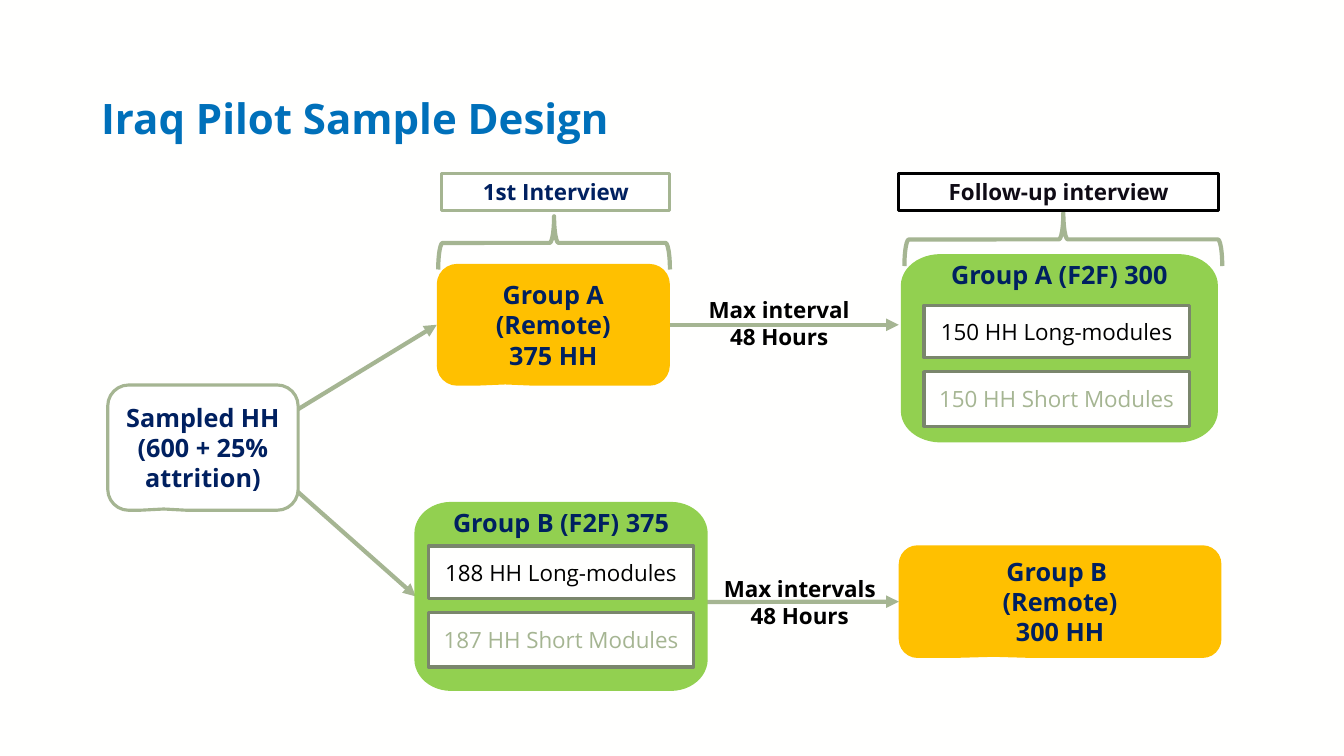
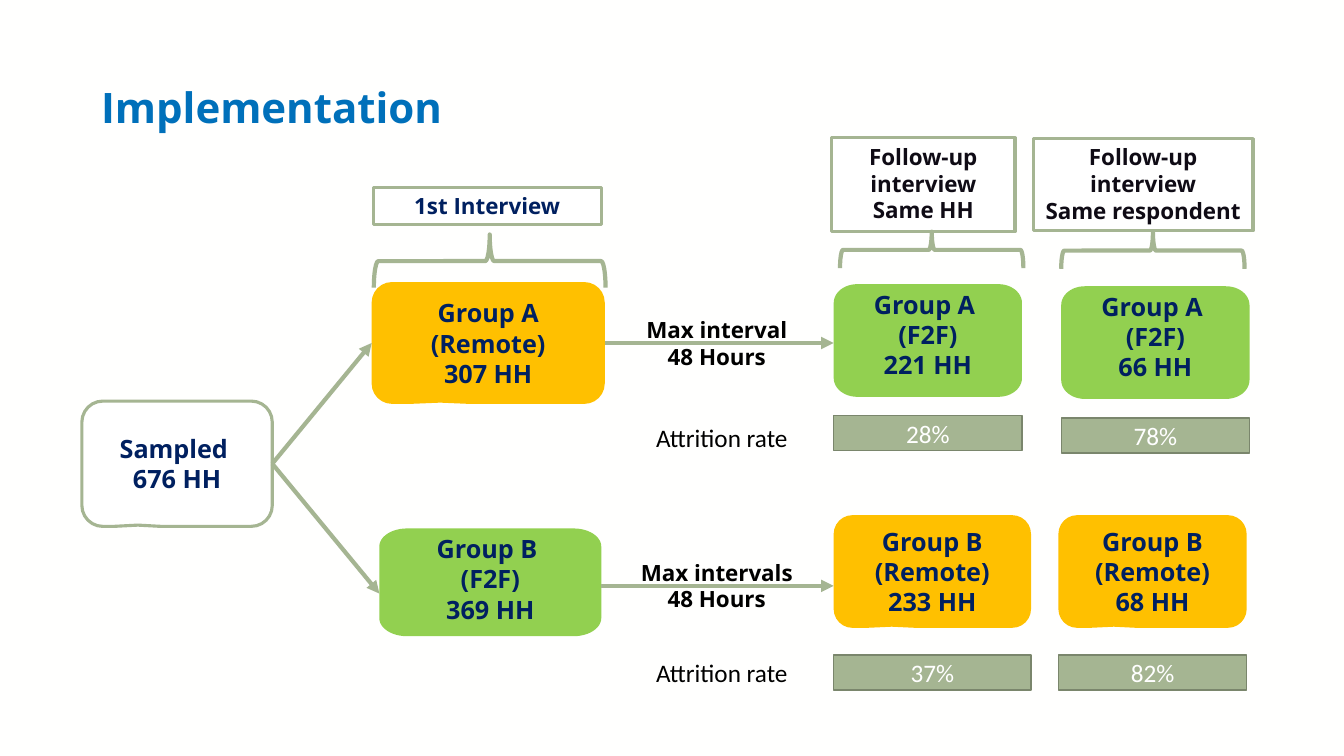
"""Build two slides that show the sample design and implementation of a survey pilot."""
import dataclasses
import enum
import math
import typing

import pptx
import pptx.dml.color
import pptx.enum.shapes
import pptx.enum.text
import pptx.oxml.xmlchemy
import pptx.presentation
import pptx.shapes.base
import pptx.slide
import pptx.util

Pt = pptx.util.Pt
Preset = pptx.enum.shapes.MSO_SHAPE
Anchor = pptx.enum.text.MSO_ANCHOR
Align = pptx.enum.text.PP_ALIGN
AutoSize = pptx.enum.text.MSO_AUTO_SIZE
Slide = pptx.slide.Slide
Shape = pptx.shapes.base.BaseShape


@dataclasses.dataclass(frozen=True)
class Theme:
    background: str = "FFFFFE"
    white: str = "FFFFFF"
    black: str = "000000"
    ink: str = "0F0B15"
    navy: str = "002060"
    title: str = "0070BA"
    sage: str = "A5B592"
    sage_dark: str = "7A866C"
    remote: str = "FFC000"
    face_to_face: str = "92D050"
    font: str = "Open Sans"
    rate_font: str = "Calibri"
    title_size: float = 30
    group_size: float = 18
    label_size: float = 16
    line: float = 3
    border: float = 2.25
    thin: float = 1


THEME = Theme()


class Form(enum.Enum):
    CALLOUT = enum.auto()
    RECTANGLE = enum.auto()
    ROUNDED = enum.auto()
    TEXT = enum.auto()


class Side(enum.IntEnum):
    LEFT = 1
    RIGHT = 3


@dataclasses.dataclass(frozen=True)
class Style:
    form: Form
    fill: typing.Optional[str] = None
    border: typing.Optional[str] = None
    border_width: float = THEME.border
    color: str = THEME.navy
    size: float = THEME.group_size
    font: str = THEME.font
    bold: bool = True
    top: bool = False
    grow: bool = False
    align: Align = Align.CENTER


REMOTE = Style(Form.CALLOUT, THEME.remote)
FACE_TO_FACE = Style(Form.ROUNDED, THEME.face_to_face, top=True)
SAMPLE = Style(Form.CALLOUT, THEME.white, THEME.sage)
FIRST = Style(Form.RECTANGLE, THEME.white, THEME.sage, size=THEME.label_size, top=True, grow=True)
FOLLOW_UP = dataclasses.replace(FIRST, color=THEME.ink)
FOLLOW_UP_BLACK = dataclasses.replace(FOLLOW_UP, border=THEME.black)
LONG = Style(Form.RECTANGLE, THEME.background, THEME.sage_dark, color=THEME.black,
             size=THEME.label_size, bold=False)
SHORT = dataclasses.replace(LONG, color=THEME.sage)
INTERVAL = Style(Form.TEXT, color=THEME.black, size=THEME.label_size, top=True, grow=True)
RATE_LABEL = Style(Form.TEXT, color=THEME.black, font=THEME.rate_font, bold=False,
                   top=True, grow=True, align=Align.LEFT)
RATE = Style(Form.RECTANGLE, THEME.sage, THEME.sage_dark, THEME.thin, THEME.white,
             font=THEME.rate_font, bold=False)


class Frame(typing.NamedTuple):
    left: float
    top: float
    width: float
    height: float


class Box(typing.NamedTuple):
    style: Style
    frame: Frame
    lines: typing.Tuple[str, ...]


class Point(typing.NamedTuple):
    x: float
    y: float


class Joint(typing.NamedTuple):
    shape: Shape
    side: Side


class FollowUpCell(typing.NamedTuple):
    box: Box
    rate: str
    rate_offset: float


End = typing.Union[Point, Joint]


def rgb(color: str) -> pptx.dml.color.RGBColor:
    return pptx.dml.color.RGBColor.from_string(color)


def lengths(values: typing.Iterable[float]) -> typing.List[pptx.util.Length]:
    return [Pt(value) for value in values]


def rounded_outline(slide: Slide, frame: Frame) -> Shape:
    left, top, width, height = frame
    radius_x, radius_y = width * 0.125, height * 0.167
    right, bottom = left + width - radius_x, top + height - radius_y
    centers = ((right, bottom), (left + radius_x, bottom),
               (left + radius_x, top + radius_y), (right, top + radius_y))
    points = []
    for quarter, (center_x, center_y) in enumerate(centers):
        for step in range(13):
            angle = math.radians(90 * quarter + 7.5 * step)
            points.append((Pt(center_x + radius_x * math.cos(angle)),
                           Pt(center_y + radius_y * math.sin(angle))))
    builder = slide.shapes.build_freeform(*points[0])
    builder.add_line_segments(points[1:], close=True)
    return builder.convert_to_shape()


def create_shape(slide: Slide, form: Form, frame: Frame) -> Shape:
    if form is Form.TEXT:
        return slide.shapes.add_textbox(*lengths(frame))
    if form is Form.ROUNDED:
        return rounded_outline(slide, frame)
    if form is Form.RECTANGLE:
        return slide.shapes.add_shape(Preset.RECTANGLE, *lengths(frame))
    shape = slide.shapes.add_shape(Preset.ROUNDED_RECTANGULAR_CALLOUT, *lengths(frame))
    for index, value in enumerate((-0.206, 0.49, 0.167)):
        shape.adjustments[index] = value
    return shape


def write_lines(shape: Shape, style: Style, lines: typing.Sequence[str]) -> None:
    text_frame = shape.text_frame
    text_frame.word_wrap = True
    text_frame.auto_size = AutoSize.SHAPE_TO_FIT_TEXT if style.grow else AutoSize.NONE
    text_frame.vertical_anchor = Anchor.TOP if style.top else Anchor.MIDDLE
    for index, line in enumerate(lines):
        paragraph = text_frame.add_paragraph() if index else text_frame.paragraphs[0]
        paragraph.alignment = style.align
        run = paragraph.add_run()
        run.text = line
        run.font.name = style.font
        run.font.size = Pt(style.size)
        run.font.bold = style.bold
        run.font.color.rgb = rgb(style.color)


def draw_box(slide: Slide, box: Box) -> Shape:
    style = box.style
    shape = create_shape(slide, style.form, box.frame)
    if style.form is not Form.TEXT:
        shape.shadow.inherit = False
        shape.fill.solid()
        shape.fill.fore_color.rgb = rgb(style.fill)
        if style.border:
            shape.line.color.rgb = rgb(style.border)
            shape.line.width = Pt(style.border_width)
        else:
            shape.line.fill.background()
    write_lines(shape, style, box.lines)
    return shape


def draw_brace(slide: Slide, frame: Frame) -> None:
    left, top, width, height = frame
    shift = (width - height) / 2
    upright = Frame(left + shift, top - shift, height, width)
    brace = slide.shapes.add_shape(Preset.LEFT_BRACE, *lengths(upright))
    brace.rotation = 90
    brace.shadow.inherit = False
    brace.fill.background()
    brace.line.color.rgb = rgb(THEME.sage)
    brace.line.width = Pt(THEME.line)


def draw_arrow(slide: Slide, start: End, end: End) -> None:
    start_point = start if isinstance(start, Point) else Point(0, 0)
    end_point = end if isinstance(end, Point) else Point(0, 0)
    connector = slide.shapes.add_connector(
        pptx.enum.shapes.MSO_CONNECTOR.STRAIGHT, *lengths((*start_point, *end_point)))
    if isinstance(start, Joint):
        connector.begin_connect(start.shape, start.side.value)
    if isinstance(end, Joint):
        connector.end_connect(end.shape, end.side.value)
    connector.line.color.rgb = rgb(THEME.sage)
    connector.line.width = Pt(THEME.line)
    properties = connector._element.spPr
    head = pptx.oxml.xmlchemy.OxmlElement("a:tailEnd")
    head.set("type", "triangle")
    properties.get_or_add_ln().append(head)
    properties.append(pptx.oxml.xmlchemy.OxmlElement("a:effectLst"))


def add_titled_slide(presentation: pptx.presentation.Presentation, text: str, top: float) -> Slide:
    slide = presentation.slides.add_slide(presentation.slide_layouts[5])
    title = slide.shapes.title
    title.left, title.top, title.width, title.height = lengths(Frame(65, top, 830, 90.5))
    style = Style(Form.TEXT, color=THEME.title, size=THEME.title_size, align=Align.LEFT)
    write_lines(title, style, (text,))
    title.text_frame.paragraphs[0].line_spacing = 0.9
    return slide


def draw_modules(slide: Slide, left: float, top: float, long_count: int, short_count: int) -> None:
    draw_box(slide, Box(LONG, Frame(left, top, 189.5, 37.5), (f"{long_count} HH Long-modules",)))
    draw_box(slide, Box(SHORT, Frame(left, top + 47.5, 189.5, 39), (f"{short_count} HH Short Modules",)))


def build_design(presentation: pptx.presentation.Presentation) -> None:
    slide = add_titled_slide(presentation, "Iraq Pilot Sample Design", 41)
    group_a = draw_box(slide, Box(REMOTE, Frame(312, 188.5, 166.5, 87), ("Group A (Remote)", "375 HH")))
    follow_up_b = draw_box(slide, Box(REMOTE, Frame(642, 389.5, 230.5, 80.5),
                                      ("Group B ", "(Remote)", "300 HH")))
    draw_arrow(slide, Point(178.5, 321), Point(297, 426))
    draw_arrow(slide, Point(176.5, 314.5), Joint(group_a, Side.LEFT))
    draw_arrow(slide, Joint(group_a, Side.RIGHT), Point(642, 232))
    draw_arrow(slide, Point(505, 430), Joint(follow_up_b, Side.LEFT))
    draw_brace(slide, Frame(313, 154.5, 165.5, 38))
    draw_brace(slide, Frame(646, 152, 227, 38))
    for box in (
        Box(FOLLOW_UP_BLACK, Frame(642, 124, 228.5, 26.5), ("Follow-up interview",)),
        Box(FIRST, Frame(315.5, 124, 163, 26.5), ("1st Interview",)),
        Box(FACE_TO_FACE, Frame(643.5, 181.5, 226.5, 134.5), ("Group A (F2F) 300",)),
        Box(FACE_TO_FACE, Frame(296, 358.5, 209.5, 135), ("Group B (F2F) 375",)),
        Box(INTERVAL, Frame(496, 208, 121, 46), ("Max interval 48 Hours",)),
        Box(INTERVAL, Frame(506, 407, 130.5, 46), ("Max intervals 48 Hours",)),
        Box(SAMPLE, Frame(77, 275, 136, 89.5), ("Sampled HH", "(600 + 25% attrition)")),
    ):
        draw_box(slide, box)
    draw_modules(slide, 660, 218, 150, 150)
    draw_modules(slide, 306, 390, 188, 187)


def build_implementation(presentation: pptx.presentation.Presentation) -> None:
    slide = add_titled_slide(presentation, "Implementation", 33)
    sample = draw_box(slide, Box(SAMPLE, Frame(58.5, 286.5, 136, 89.5), ("Sampled ", "676 HH")))
    group_a = draw_box(slide, Box(REMOTE, Frame(265.5, 201.5, 166.5, 87), ("Group A (Remote)", "307 HH")))
    for box in (
        Box(FACE_TO_FACE, Frame(271, 377.5, 158.5, 77), ("Group B ", "(F2F)", "369 HH")),
        Box(FIRST, Frame(266.5, 134, 163, 26.5), ("1st Interview",)),
        Box(FOLLOW_UP, Frame(594, 98.5, 131, 67), ("Follow-up interview", "Same HH")),
        Box(FOLLOW_UP, Frame(738, 99, 157, 66), ("Follow-up interview", "Same respondent")),
    ):
        draw_box(slide, box)
    for cell in (
        FollowUpCell(Box(FACE_TO_FACE, Frame(595.5, 203, 134.5, 80.5),
                         ("Group A ", "(F2F)", "221 HH")), "28%", 94),
        FollowUpCell(Box(FACE_TO_FACE, Frame(758, 204.5, 134.5, 80.5),
                         ("Group A ", "(F2F)", "66 HH")), "78%", 94),
        FollowUpCell(Box(REMOTE, Frame(595.5, 368, 141, 80.5), ("Group B (Remote)", "233 HH")), "37%", 100),
        FollowUpCell(Box(REMOTE, Frame(756, 368, 134.5, 80.5), ("Group B (Remote)", "68 HH")), "82%", 100),
    ):
        draw_box(slide, cell.box)
        left, top, width, _ = cell.box.frame
        draw_box(slide, Box(RATE, Frame(left, top + cell.rate_offset, width, 25), (cell.rate,)))
    for frame in (Frame(267, 167.5, 165.5, 38), Frame(600, 165.5, 131, 26), Frame(758, 166, 131, 26)):
        draw_brace(slide, frame)
    draw_arrow(slide, Joint(sample, Side.RIGHT), Joint(group_a, Side.LEFT))
    draw_arrow(slide, Joint(sample, Side.RIGHT), Point(271, 424))
    draw_arrow(slide, Joint(group_a, Side.RIGHT), Point(595.5, 245))
    draw_arrow(slide, Point(429.5, 418.5), Point(595.5, 418.5))
    draw_box(slide, Box(INTERVAL, Frame(451.5, 222.5, 121, 46), ("Max interval 48 Hours",)))
    draw_box(slide, Box(INTERVAL, Frame(441.5, 395.5, 141, 46), ("Max intervals 48 Hours",)))
    for top in (298, 466):
        draw_box(slide, Box(RATE_LABEL, Frame(461.5, top, 112.5, 29), ("Attrition rate",)))


def main() -> None:
    presentation = pptx.Presentation()
    presentation.slide_width, presentation.slide_height = Pt(960), Pt(540)
    background = presentation.slide_master.background.fill
    background.solid()
    background.fore_color.rgb = rgb(THEME.background)
    build_design(presentation)
    build_implementation(presentation)
    presentation.save("out.pptx")


if __name__ == "__main__":
    main()
